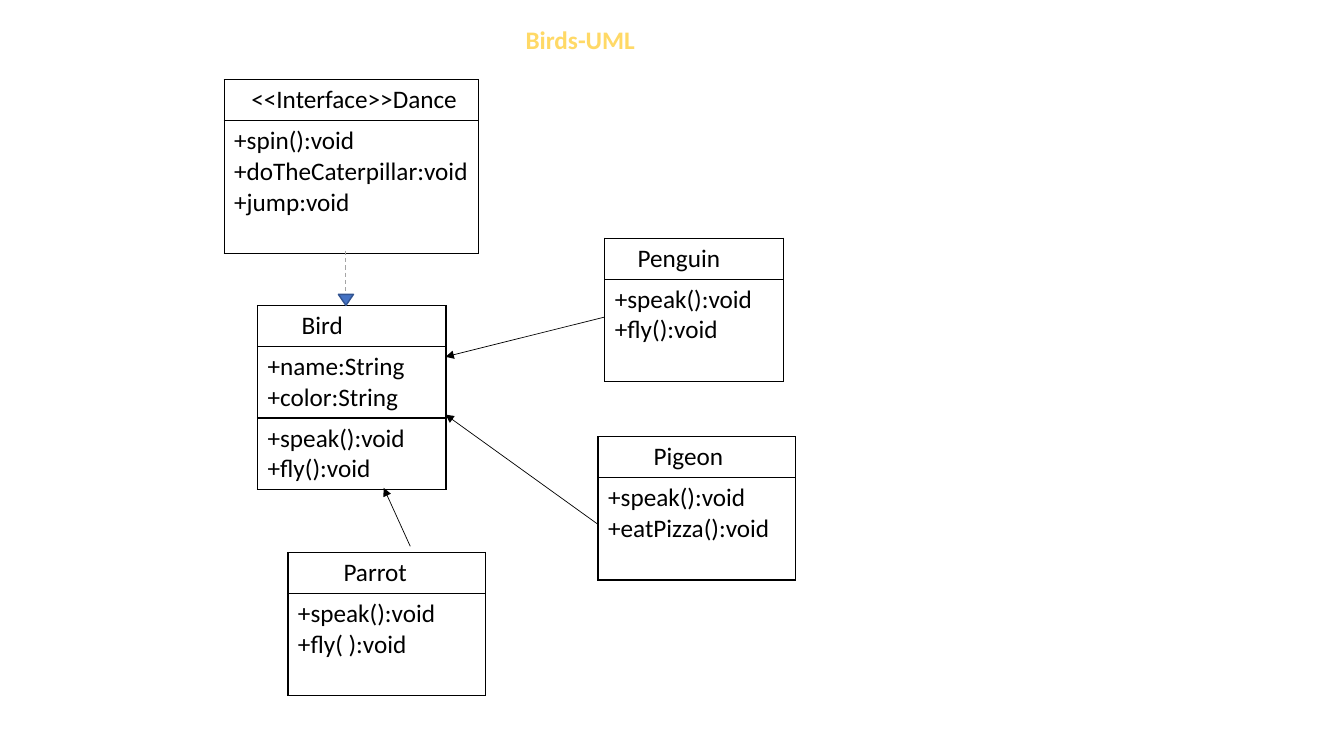
from pptx import Presentation
from pptx.dml.color import RGBColor
from pptx.enum.dml import MSO_LINE_DASH_STYLE as Dash
from pptx.enum.shapes import MSO_CONNECTOR as Connector, MSO_SHAPE as Shape
from pptx.enum.text import MSO_ANCHOR as Anchor, PP_ALIGN as Align
from pptx.oxml import parse_xml
from pptx.oxml.ns import nsdecls, qn
from pptx.util import Inches, Pt

BLACK = RGBColor(0x00, 0x00, 0x00)
GOLD = RGBColor(0xFF, 0xD9, 0x66)
GRAY = RGBColor(0xA5, 0xA5, 0xA5)
BLUE = RGBColor(0x44, 0x72, 0xC4)
DARK_BLUE = RGBColor(0x32, 0x54, 0x91)

COLUMNS, ROWS = 80, 45
HEADER = 2.43
PADDING = 0.6


class UmlSlide:
    font_name = "Calibri"
    font_size = Pt(18)

    def __init__(self, presentation):
        self.column = presentation.slide_width / COLUMNS
        self.row = presentation.slide_height / ROWS
        self.slide = presentation.slides.add_slide(presentation.slide_layouts[5])
        self.shapes = self.slide.shapes

    def x(self, columns):
        return round(columns * self.column)

    def y(self, rows):
        return round(rows * self.row)

    def box(self, left, top, width, height):
        return self.x(left), self.y(top), self.x(width), self.y(height)

    def style(self, paragraph, color, bold=False):
        font = paragraph.font
        font.name, font.size, font.bold = self.font_name, self.font_size, bold
        font.color.rgb = color

    def title(self, text, left, top, width, height):
        title = self.shapes.title
        title.left, title.top, title.width, title.height = self.box(left, top, width, height)
        title.text_frame.text = text
        title.text_frame.vertical_anchor = Anchor.MIDDLE
        paragraph = title.text_frame.paragraphs[0]
        paragraph.alignment = Align.CENTER
        self.style(paragraph, GOLD, bold=True)

    def cell(self, cell, text, indent):
        properties = cell._tc.get_or_add_tcPr()
        for side in "LRTB":
            properties.append(parse_xml(
                f'<a:ln{side} {nsdecls("a")} w="{Pt(1)}"><a:solidFill>'
                f'<a:srgbClr val="{BLACK}"/></a:solidFill></a:ln{side}>'))
        cell.fill.background()
        cell.margin_left, cell.margin_right = self.x(PADDING + indent), 0
        cell.text = text
        for paragraph in cell.text_frame.paragraphs:
            self.style(paragraph, BLACK)

    def class_box(self, name, indent, left, top, width, *sections):
        heights = [HEADER] + [height for height, _ in sections]
        texts = [name] + ["\n".join(members) for _, members in sections]
        table = self.shapes.add_table(
            len(texts), 1, *self.box(left, top, width, sum(heights))).table
        table.first_row = table.horz_banding = False
        for index, (height, text) in enumerate(zip(heights, texts)):
            table.rows[index].height = self.y(height)
            self.cell(table.cell(index, 0), text, 0 if index else indent)

    def line(self, start, end, color=BLACK, width=0.5, dash=None, arrow=True):
        connector = self.shapes.add_connector(
            Connector.STRAIGHT, self.x(start[0]), self.y(start[1]),
            self.x(end[0]), self.y(end[1]))
        connector.line.color.rgb = color
        connector.line.width = Pt(width)
        if dash:
            connector.line.dash_style = dash
        properties = connector.element.spPr
        if arrow:
            properties.find(qn("a:ln")).append(
                parse_xml(f'<a:tailEnd {nsdecls("a")} type="triangle"/>'))
        properties.append(parse_xml(f'<a:effectLst {nsdecls("a")}/>'))

    def arrowhead(self, left, top, width, height):
        shape = self.shapes.add_shape(
            Shape.ISOSCELES_TRIANGLE, *self.box(left, top, width, height))
        shape.rotation = 180
        shape.shadow.inherit = False
        shape.fill.solid()
        shape.fill.fore_color.rgb = BLUE
        shape.line.color.rgb = DARK_BLUE
        shape.line.width = Pt(1)


presentation = Presentation()
presentation.slide_width, presentation.slide_height = Inches(13.33), Inches(7.5)
uml = UmlSlide(presentation)

uml.title("Birds-UML", 26.53, 0.98, 16.02, 2.76)
uml.class_box("Bird", 2.03, 15.33, 18.19, 11.22,
              (4.26, ["+name:String", "+color:String"]),
              (4.26, ["+speak():void", "+fly():void"]))
uml.class_box("<<Interface>>Dance", 1.02, 13.34, 4.74, 15.16,
              (7.9, ["+spin():void", "+doTheCaterpillar:void", "+jump:void"]))

subclasses = [
    ("Pigeon", 2.71, 35.6, 25.99, 11.76, "+eatPizza():void"),
    ("Penguin", 1.36, 36, 14.18, 10.65, "+fly():void"),
    ("Parrot", 2.71, 17.14, 32.88, 11.76, "+fly( ):void"),
]
for name, indent, left, top, width, method in subclasses:
    uml.class_box(name, indent, left, top, width, (6.1, ["+speak():void", method]))

uml.line((20.58, 14.94), (20.58, 18.18), GRAY, 0.75, Dash.DASH, arrow=False)
uml.arrowhead(20.14, 17.52, 0.9, 0.66)
for start, end in [
    ((36, 18.87), (26.52, 21.24)),
    ((35.58, 31.2), (26.52, 24.68)),
    ((24.42, 32.52), (22.84, 29.04)),
]:
    uml.line(start, end)

presentation.save("out.pptx")
